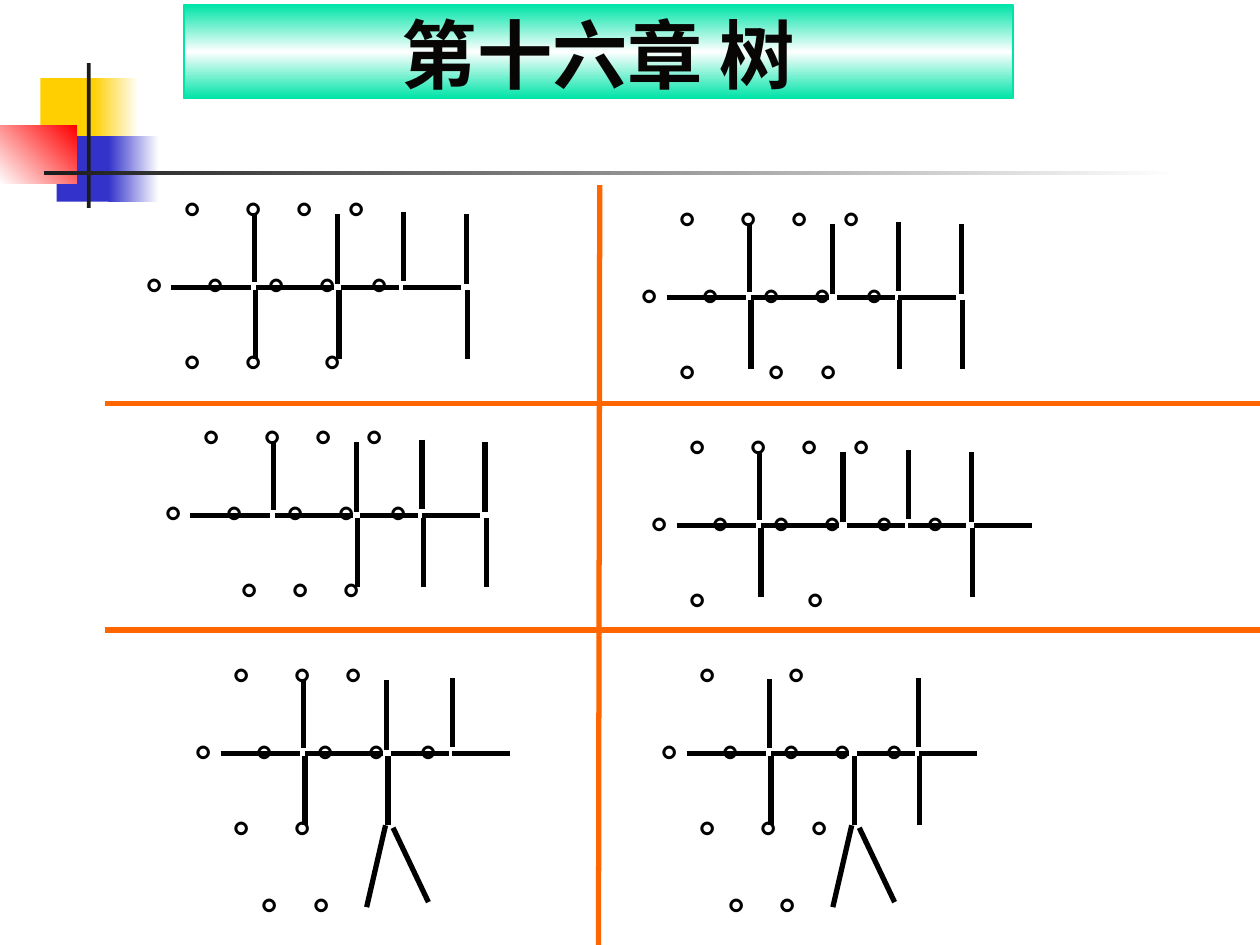
"""Chapter title over six labelled tree skeletons in a two-by-three grid."""
from copy import deepcopy
from lxml.etree import SubElement
from pptx import Presentation
from pptx.dml.color import RGBColor as RGB
from pptx.enum.shapes import MSO_CONNECTOR as LINK, MSO_SHAPE as SHAPE
from pptx.enum.text import MSO_ANCHOR as ANCHOR, PP_ALIGN as ALIGN
from pptx.oxml.ns import qn
from pptx.util import Inches as In, Pt

COLORS = {"yellow": "FFCF01", "blue": "3333CC", "red": "FF0000", "dark": "1C1C1C",
          "white": "FFFFFF", "green": "00E4A8", "orange": "FF6600", "black": "000000",
          "title": "070605"}
FACE = "Noto Sans CJK SC"
WIDTH, HEIGHT = 10, 7.5


def paint(fill, names, angle=0):
    if len(names) == 1:
        fill.solid()
        fill.fore_color.rgb = RGB.from_string(COLORS[names[0]])
        return
    fill.gradient()
    fill.gradient_angle = angle
    stop_list = fill._fill._gradFill.gsLst
    while len(stop_list) < len(names):
        stop_list.append(deepcopy(stop_list[0]))
    for i, (stop, name) in enumerate(zip(fill.gradient_stops, names)):
        stop.position = i / (len(names) - 1)
        stop.color.rgb = RGB.from_string(COLORS[name])


def rule(shapes, start, end, color="black"):
    link = shapes.add_connector(LINK.STRAIGHT, *map(In, (*start, *end)))
    link.line.color.rgb = RGB.from_string(COLORS[color])
    link.line.width = Pt(3)
    SubElement(link._element.spPr, qn("a:effectLst"))


deck = Presentation()
deck.slide_width, deck.slide_height = In(WIDTH), In(HEIGHT)
slide = deck.slides.add_slide(deck.slide_layouts[5])

ornaments = [
    (0.32, 0.62, 0.48, 0.52, ["yellow"], 0),
    (0.74, 0.62, 0.36, 0.52, ["yellow", "white"], 0),
    (0.45, 1.08, 0.46, 0.52, ["blue"], 0),
    (0.86, 1.08, 0.4, 0.52, ["blue", "white"], 0),
    (0, 1, 0.61, 0.46, ["white", "red"], 45),
    (0.69, 0.5, 0.03, 1.15, ["dark"], 0),
    (0.35, 1.36, 9, 0.03, ["dark", "white"], 0),
]
ornament_group = slide.shapes.add_group_shape()
for *place, names, angle in ornaments:
    block = ornament_group.shapes.add_shape(SHAPE.RECTANGLE, *map(In, place))
    block.shadow.inherit = False
    block.line.fill.background()
    paint(block.fill, names, angle)

title = slide.shapes.title
title.left, title.top, title.width, title.height = map(In, (1.46, 0.04, 6.58, 0.74))
paint(title.fill, ["green", "white", "green"], 90)
title.line.color.rgb = RGB.from_string(COLORS["green"])
title.line.width = Pt(0.75)
frame = title.text_frame
frame.text = "第十六章 树"
for key, value in {"vertical_anchor": ANCHOR.BOTTOM, "margin_top": 0, "margin_bottom": 0}.items():
    setattr(frame, key, value)
heading = frame.paragraphs[0]
heading.alignment = ALIGN.CENTER
heading_run = heading.runs[0]
for key, value in {"size": Pt(43), "bold": True, "name": FACE}.items():
    setattr(heading_run.font, key, value)
heading_run.font.color.rgb = RGB.from_string(COLORS["title"])
SubElement(heading_run._r.rPr, qn("a:ea"), typeface=FACE)

rule(slide.shapes, (WIDTH / 12, 3.2), (WIDTH, 3.2), "orange")
rule(slide.shapes, (WIDTH / 12, 5), (WIDTH, 5), "orange")
rule(slide.shapes, (4.76, 1.47), (4.75, HEIGHT), "orange")

MARK, GAP = 0.333, 0.075
BONDS = [(0.37, 1), (1.04, 1.66), (1.72, 2.18), (2.21, 2.67), (2.73, 3.19)]
COLUMNS = [1.03, 1.69, 2.21, 2.71]
SPINE, BRANCH = 0.97, 0.55
UP_TOPS = [0.38, 0.39, 0.37, 0.39]
FORK = [((1.74, 1.56), (2.02, 2.15)), ((1.68, 1.54), (1.53, 2.19))]

# fields: origin, bonds, columns up, columns down, forked, gaps before each mark by row
trees = [
    (0.99, 1.31, 4, (0, 1, 2, 3), (0, 1, 3), False,
     [(5, 2, 1, 1), (1, 2, 2, 1, 1), (5, 2, 4)]),
    (5, 3.2, 5, (0, 1, 2, 3), (0, 3), False,
     [(5, 2, 1, 1), (1, 2, 2, 1, 1, 1), (5, 8)]),
    (4.92, 1.39, 4, (0, 1, 2, 3), (0, 2, 3), False,
     [(5, 2, 1, 1), (1, 2, 2, 1, 1), (5, 5, 1)]),
    (1.14, 3.12, 4, (0, 1, 2, 3), (1, 2, 3), False,
     [(5, 2, 1, 1), (1, 2, 2, 1, 1), (9, 1, 1)]),
    (1.38, 5.01, 4, (0, 1, 2), (0, 1), True,
     [(5, 2, 1), (1, 2, 2, 1, 1), (5, 2), (8, 1)]),
    (5.08, 5.01, 4, (0, 2), (0, 1, 2), True,
     [(5, 5), (1, 2, 2, 1, 1), (5, 2, 1), (8, 1)]),
]
for x, y, bond_count, ups, downs, forked, rows in trees:
    tree = slide.shapes.add_group_shape().shapes
    labels = tree.add_textbox(In(x), In(y), In(3.67), In(2.33 if forked else 1.72)).text_frame
    labels.word_wrap = True
    for i, gaps in enumerate(rows):
        row = labels.paragraphs[0] if i == 0 else labels.add_paragraph()
        if i:
            row.space_before = Pt(15)
        stops = SubElement(row._p.get_or_add_pPr(), qn("a:tabLst"))
        reach = 0
        for gap in gaps:
            reach += gap * GAP
            SubElement(stops, qn("a:tab"), pos=str(In(reach)), algn="l")
            reach += MARK
        marks = row.add_run()
        marks.text = "\t。" * len(gaps)
        for key, value in {"size": Pt(24), "bold": True, "name": FACE}.items():
            setattr(marks.font, key, value)
        marks.font.color.rgb = RGB.from_string(COLORS["black"])
        SubElement(marks._r.rPr, qn("a:ea"), typeface=FACE)

    branches = [((a, SPINE), (b, SPINE)) for a, b in BONDS[:bond_count]]
    branches += [((COLUMNS[c], UP_TOPS[c]), (COLUMNS[c], UP_TOPS[c] + BRANCH)) for c in ups]
    branches += [((COLUMNS[c] + 0.01, 0.99), (COLUMNS[c] + 0.01, 0.99 + BRANCH)) for c in downs]
    branches += FORK if forked else []
    for start, end in branches:
        rule(tree, (x + start[0], y + start[1]), (x + end[0], y + end[1]))

deck.save("out.pptx")
